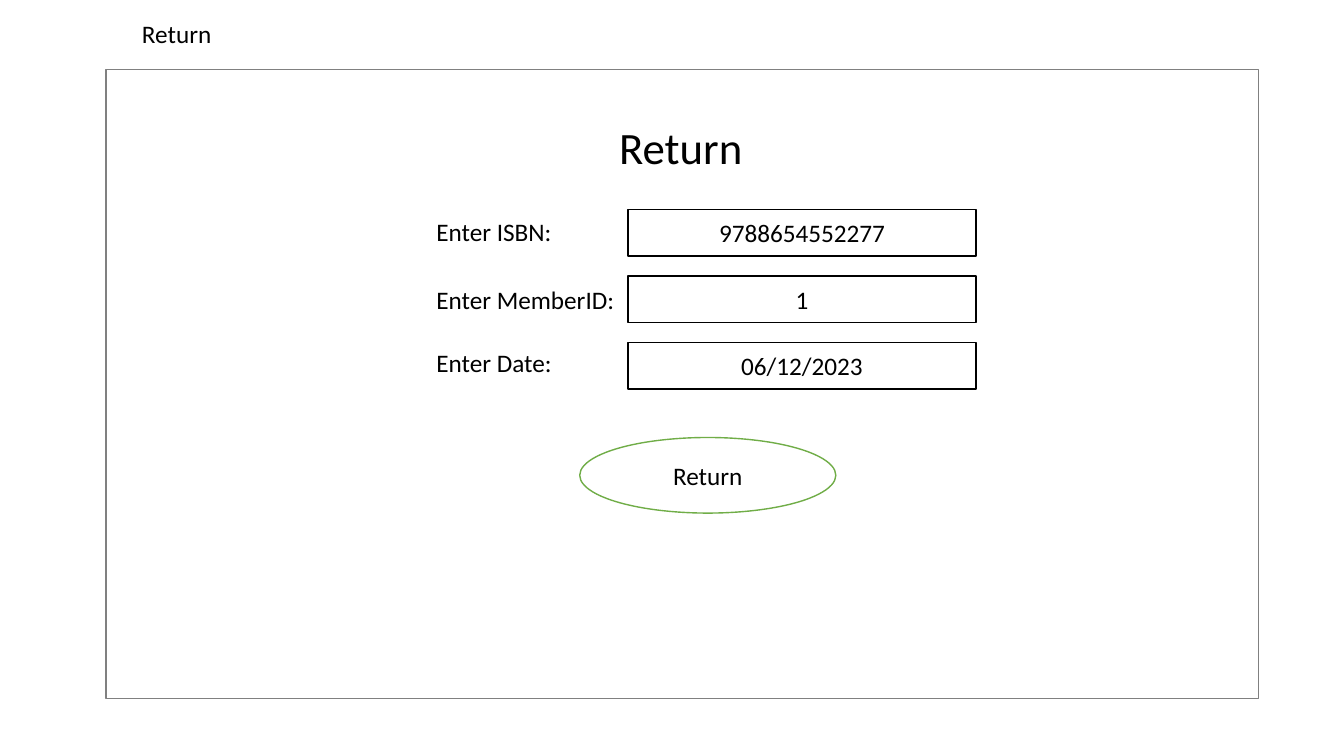
"""Build the book return form slide."""
from dataclasses import dataclass

from pptx import Presentation
from pptx.dml.color import RGBColor
from pptx.enum.shapes import MSO_SHAPE
from pptx.enum.text import MSO_ANCHOR, MSO_AUTO_SIZE, PP_ALIGN
from pptx.util import Emu, Pt


@dataclass(frozen=True)
class Theme:
    font: str = "Calibri"
    heading: int = 32
    body: int = 18
    line: int = 1
    white: str = "FFFFFF"
    black: str = "000000"
    grey: str = "808080"
    green: str = "70AD47"


theme = Theme()
PX = 9144


def write(box, text, size=theme.body, align=PP_ALIGN.LEFT, anchor=MSO_ANCHOR.TOP,
          fit=MSO_AUTO_SIZE.SHAPE_TO_FIT_TEXT):
    frame = box.text_frame
    frame.text = text
    frame.word_wrap = True
    frame.auto_size = fit
    frame.vertical_anchor = anchor
    para = frame.paragraphs[0]
    para.alignment = align
    para.font.name = theme.font
    para.font.size = Pt(size)
    para.font.color.rgb = RGBColor.from_string(theme.black)


def outline(kind, left, top, width, height, color, text=""):
    shape = page.shapes.add_shape(kind, left * PX, top * PX, width * PX, height * PX)
    shape.shadow.inherit = False
    shape.fill.solid()
    shape.fill.fore_color.rgb = RGBColor.from_string(theme.white)
    shape.line.color.rgb = RGBColor.from_string(color)
    shape.line.width = Pt(theme.line)
    if text:
        write(shape, text, align=PP_ALIGN.CENTER, anchor=MSO_ANCHOR.MIDDLE,
              fit=MSO_AUTO_SIZE.NONE)
    return shape


deck = Presentation()
deck.slide_width, deck.slide_height = Emu(1333 * PX), Emu(750 * PX)
page = deck.slides.add_slide(deck.slide_layouts[5])

window = outline(MSO_SHAPE.RECTANGLE, 105, 69, 1143, 624, theme.grey)

title = page.shapes.title
title.left, title.top = Emu(604 * PX), Emu(114 * PX)
title.width, title.height = Emu(364 * PX), Emu(64 * PX)
write(title, "Return", theme.heading)
window._element.addnext(title._element)

labels = [
    ("Return", 131, 13, 398),
    ("Enter ISBN:", 423, 210, 254),
    ("Enter MemberID:", 423, 277, 254),
    ("Enter Date:", 423, 340, 254),
]
for text, left, top, width in labels:
    label = page.shapes.add_textbox(left * PX, top * PX, width * PX, 40 * PX)
    write(label, text)

for row, value in enumerate(["9788654552277", "1", "06/12/2023"]):
    outline(MSO_SHAPE.RECTANGLE, 623, 208 + 66 * row, 345, 46, theme.black, value)

outline(MSO_SHAPE.OVAL, 575, 434, 254, 75, theme.green, "Return")

deck.save("out.pptx")
